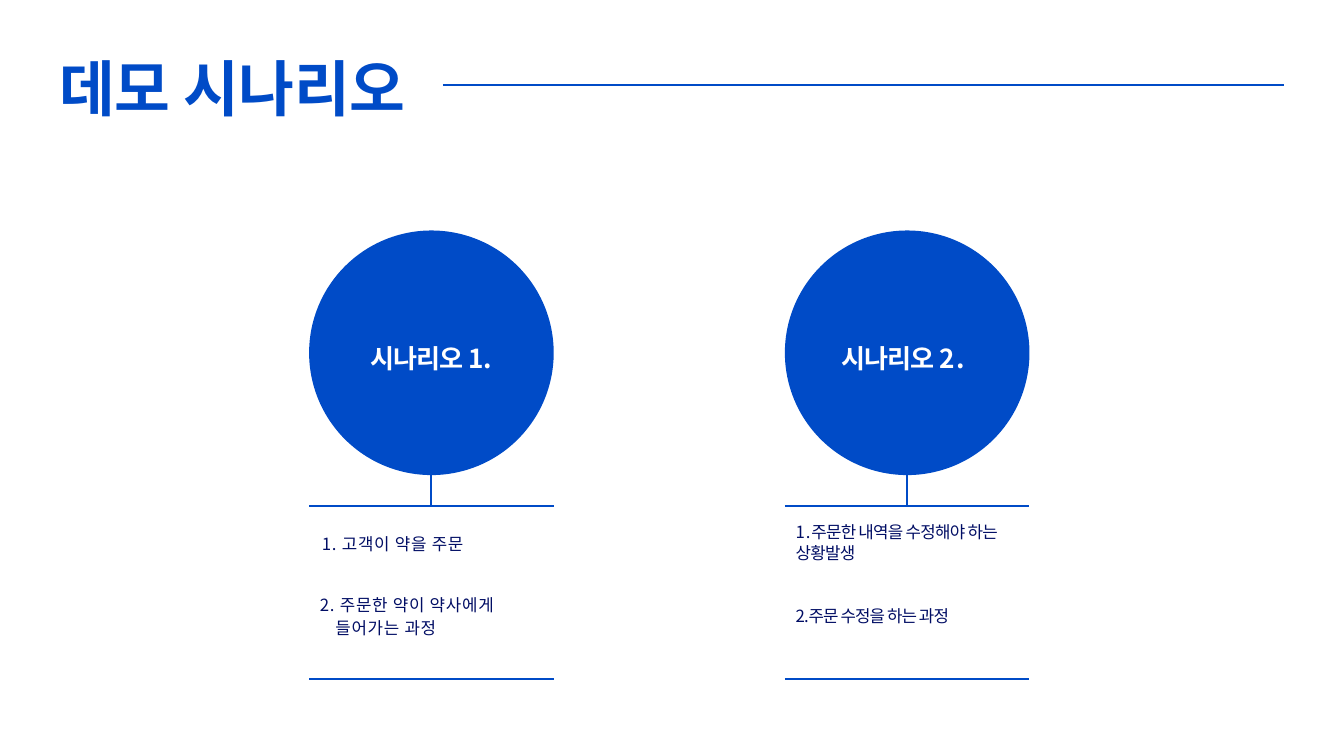
"""Build the demo scenario slide with two circled scenarios and their steps."""
import lxml.etree
import pptx
import pptx.dml.color
import pptx.enum.shapes
import pptx.enum.text
import pptx.oxml.ns
import pptx.util

Inches = pptx.util.Inches
Pt = pptx.util.Pt
qn = pptx.oxml.ns.qn

COLORS = {"blue": "004BC7", "navy": "000D64", "white": "FFFFFF"}
FONT = "Noto Sans CJK KR"
DIAMETER = 3.64
CIRCLE_TOP = 3.43
RULE_TOP = 7.53
RULE_BOTTOM = 10.11

SCENARIOS = [
    {
        "left": 4.6,
        "label": (5.5, [("시나리오 1.", -0.9)]),
        "hanging": True,
        "steps": [
            ((4.77, 7.89, 3.35, 0.35), [("1. 고객이 약을 주문", 0.8)]),
            ((4.74, 8.79, 3.35, 0.7), [("2. 주문한 약이 약사에게 들어가는 과정", 0.8)]),
        ],
    },
    {
        "left": 11.68,
        "label": (12.51, [("시나리오 ", -0.9), ("2.", 0.9)]),
        "hanging": False,
        "steps": [
            ((11.83, 7.76, 3.72, 0.61),
             [("1.", 0.9), ("주문한 내역을 수정해야 하는 상황발생", -0.8)]),
            ((11.83, 9.01, 4.09, 0.31), [("2.주문 수정을 하는 과정", -1)]),
        ],
    },
]


def rgb(name):
    return pptx.dml.color.RGBColor.from_string(COLORS[name])


def write_text(box, spans, size, color, bold=False, hanging=False):
    """Fill a box with one paragraph of letter-spaced spans."""
    frame = box.text_frame
    frame.word_wrap = True
    frame.auto_size = pptx.enum.text.MSO_AUTO_SIZE.SHAPE_TO_FIT_TEXT
    frame.vertical_anchor = pptx.enum.text.MSO_ANCHOR.TOP
    frame.margin_left = frame.margin_right = frame.margin_bottom = 0
    frame.margin_top = Inches(0.01)
    para = frame.paragraphs[0]
    para.alignment = pptx.enum.text.PP_ALIGN.LEFT
    properties = para._p.get_or_add_pPr()
    properties.set("marL", str(Inches(0.25 if hanging else 0.01)))
    properties.set("indent", str(Inches(-0.23 if hanging else 0)))
    if hanging:
        para.line_spacing = 1.15
    font = para.font
    font.name, font.size, font.bold = FONT, Pt(size), bold
    font.color.rgb = rgb(color)
    east_asian = lxml.etree.SubElement(properties.find(qn("a:defRPr")), qn("a:ea"))
    east_asian.set("typeface", FONT)
    for text, spacing in spans:
        span = para.add_run()
        span.text = text
        span._r.get_or_add_rPr().set("spc", str(round(spacing * 100)))


def add_title(slide, spans):
    title = slide.shapes.title
    title.left, title.top = Inches(0.87), Inches(0.74)
    title.width, title.height = Inches(5.55), Inches(1.09)
    write_text(title, spans, 65, "blue", bold=True)


def add_text(slide, area, spans, size, color, **style):
    box = slide.shapes.add_textbox(*map(Inches, area))
    write_text(box, spans, size, color, **style)


def add_line(slide, *ends):
    line = slide.shapes.add_connector(
        pptx.enum.shapes.MSO_CONNECTOR.STRAIGHT, *map(Inches, ends))
    line.line.color.rgb = rgb("blue")
    line.line.width = Pt(2.25)
    lxml.etree.SubElement(line._element.spPr, qn("a:effectLst"))


def add_circle(slide, left):
    circle = slide.shapes.add_shape(
        pptx.enum.shapes.MSO_SHAPE.OVAL,
        *map(Inches, (left, CIRCLE_TOP, DIAMETER, DIAMETER)))
    circle.shadow.inherit = False
    circle.fill.solid()
    circle.fill.fore_color.rgb = rgb("blue")
    circle.line.fill.background()


def add_scenario(slide, scenario):
    left = scenario["left"]
    right, center = left + DIAMETER, left + DIAMETER / 2
    add_circle(slide, left)
    add_line(slide, center, RULE_TOP, center, CIRCLE_TOP + DIAMETER)
    for height in (RULE_TOP, RULE_BOTTOM):
        add_line(slide, left, height, right, height)
    label_left, label = scenario["label"]
    add_text(slide, (label_left, 5.09, 1.99, 0.48), label, 28, "white", bold=True)
    for area, spans in scenario["steps"]:
        add_text(slide, area, spans, 18, "navy", hanging=scenario["hanging"])


def main():
    deck = pptx.Presentation()
    deck.slide_width, deck.slide_height = Inches(20), Inches(11.25)
    slide = deck.slides.add_slide(deck.slide_layouts.get_by_name("Title Only"))
    add_title(slide, [("데모 ", -0.8), ("시나리오", -0.3)])
    add_line(slide, 6.59, 1.27, 19.11, 1.27)
    for scenario in SCENARIOS:
        add_scenario(slide, scenario)
    deck.save("out.pptx")


if __name__ == "__main__":
    main()
